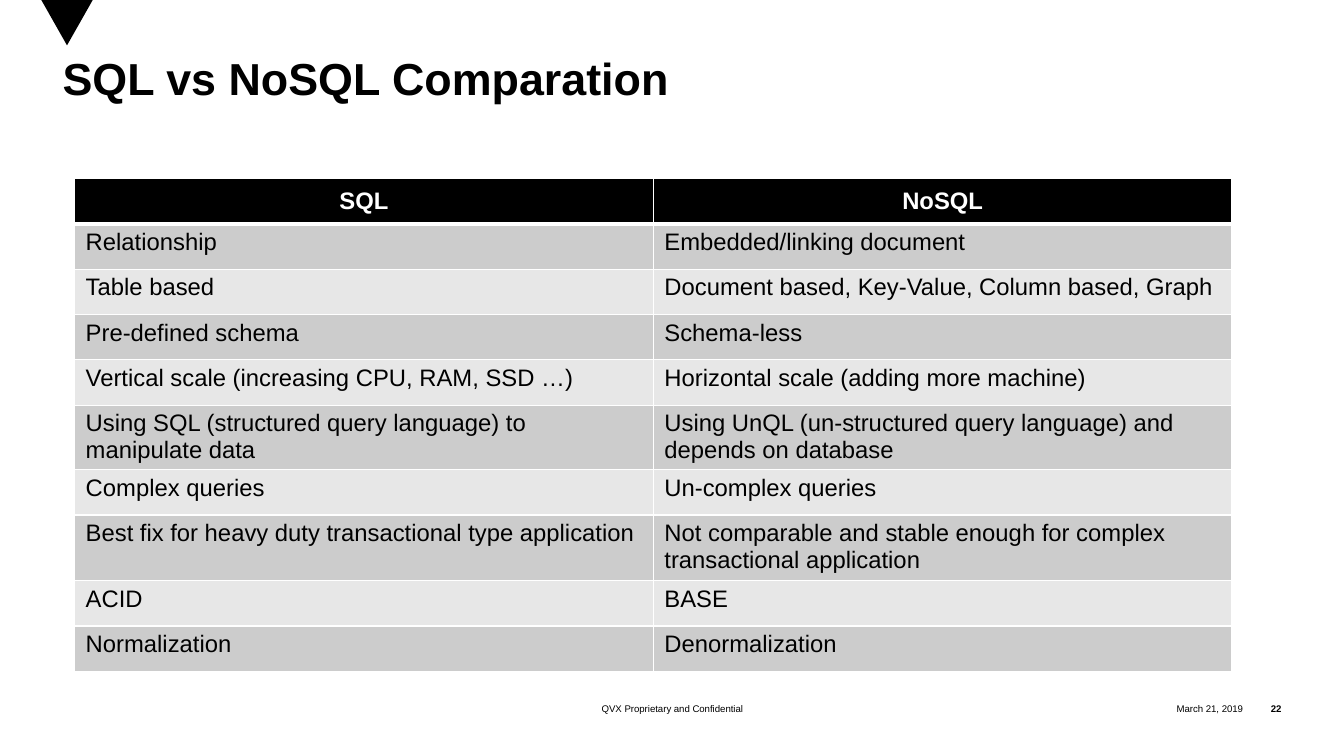
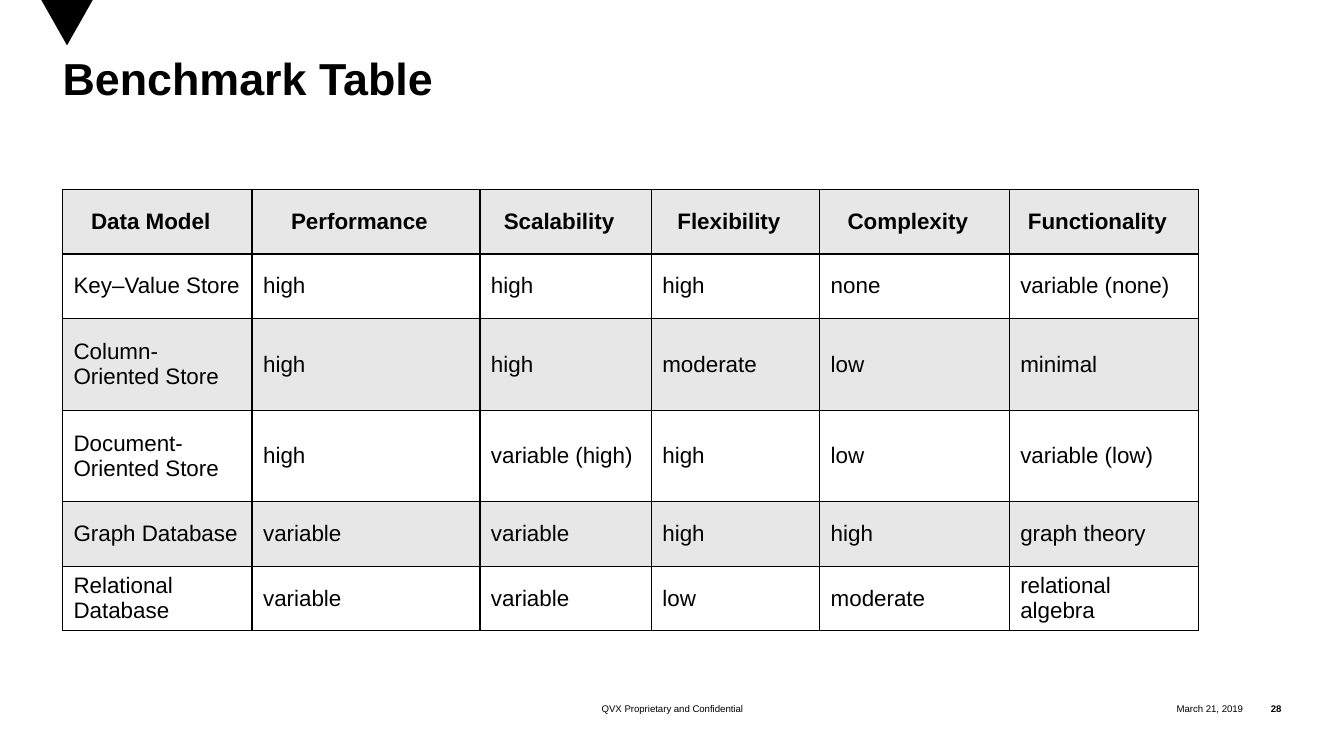
from dataclasses import dataclass

from lxml.etree import SubElement
from pptx import Presentation
from pptx.dml.color import RGBColor as Rgb
from pptx.enum.shapes import MSO_SHAPE as Shape
from pptx.enum.text import MSO_ANCHOR as Anchor, MSO_AUTO_SIZE as Fit, PP_ALIGN as Align
from pptx.oxml.ns import qn
from pptx.util import Inches, Pt

INK = {"black": "000000", "white": "FFFFFF", "dark": "CCCCCC", "light": "E7E7E7"}
FONT = "Arial"


@dataclass
class Note:
    text: str
    left: float
    width: float
    align: Align
    bold: bool = False


@dataclass
class Grid:
    left: float
    top: float
    cols: list[float]
    heights: list[float]
    rows: list[list[str]]
    size: float
    head: tuple[str, str]  # fill and text colour of the first row
    bands: tuple[str, str]
    edge: str
    rule: float  # points under the first row
    anchor: Anchor
    pad: float  # right margin in the first row


@dataclass
class Page:
    title: str
    number: int
    grid: Grid


VERSUS = Grid(
    left=0.74, top=1.77, cols=[5.74] * 2,
    heights=[0.45] * 5 + [0.64, 0.45, 0.65, 0.45, 0.45],
    rows=[
        ["SQL", "NoSQL"],
        ["Relationship", "Embedded/linking document"],
        ["Table based", "Document based, Key-Value, Column based, Graph"],
        ["Pre-defined schema", "Schema-less"],
        ["Vertical scale (increasing CPU, RAM, SSD …)",
         "Horizontal scale (adding more machine)"],
        ["Using SQL (structured query language) to manipulate data",
         "Using UnQL (un-structured query language) and depends on database"],
        ["Complex queries", "Un-complex queries"],
        ["Best fix for heavy duty transactional type application",
         "Not comparable and stable enough for complex transactional application"],
        ["ACID", "BASE"],
        ["Normalization", "Denormalization"],
    ],
    size=17, head=("black", "white"), bands=("dark", "light"),
    edge="white", rule=3, anchor=Anchor.TOP, pad=0.11,
)

BENCH = Grid(
    left=0.62, top=1.88, cols=[1.88, 2.26, 1.7, 1.67, 1.88, 1.88],
    heights=[0.64, 0.64, 0.91, 0.91, 0.64, 0.64],
    rows=[
        ["Data Model", "Performance", "Scalability", "Flexibility", "Complexity",
         "Functionality"],
        ["Key–Value Store", "high", "high", "high", "none", "variable (none)"],
        ["Column-Oriented Store", "high", "high", "moderate", "low", "minimal"],
        ["Document-Oriented Store", "high", "variable (high)", "high", "low",
         "variable (low)"],
        ["Graph Database", "variable", "variable", "high", "high", "graph theory"],
        ["Relational Database", "variable", "variable", "low", "moderate",
         "relational algebra"],
    ],
    size=16, head=("light", "black"), bands=("white", "light"),
    edge="black", rule=1, anchor=Anchor.MIDDLE, pad=0.24,
)

PAGES = [
    Page("SQL vs NoSQL Comparation", 22, VERSUS),
    Page("Benchmark Table", 28, BENCH),
]


def color(name: str) -> Rgb:
    return Rgb.from_string(INK[name])


def write(frame, text: str, size: float, ink: str = "black", bold: bool = False,
          align: Align = Align.LEFT):
    """Fill a text frame with one styled paragraph and return it."""
    para = frame.paragraphs[0]
    para.alignment = align
    run = para.add_run()
    run.text = text
    for key, value in {"name": FONT, "size": Pt(size), "bold": bold}.items():
        setattr(run.font, key, value)
    run.font.color.rgb = color(ink)
    return para


def frame_up(frame, anchor: Anchor) -> None:
    """Give a text frame no margins, wrapping and a fixed size."""
    look = {"margin_left": 0, "margin_top": 0, "margin_right": 0, "margin_bottom": 0,
            "word_wrap": True, "auto_size": Fit.NONE, "vertical_anchor": anchor}
    for key, value in look.items():
        setattr(frame, key, value)


def add_note(slide, note: Note) -> None:
    box = slide.shapes.add_textbox(
        Inches(note.left), Inches(6.91), Inches(note.width), Inches(0.25))
    frame_up(box.text_frame, Anchor.MIDDLE)
    write(box.text_frame, note.text, 6.9, bold=note.bold, align=note.align)


def add_base(slide, page: Page) -> None:
    """Draw what all slides share: marker, footer and title."""
    mark = slide.shapes.add_shape(
        Shape.FLOWCHART_MERGE, Inches(0.41), 0, Inches(0.51), Inches(0.45))
    mark.shadow.inherit = False
    mark.fill.solid()
    mark.fill.fore_color.rgb = color("black")
    mark.line.fill.background()

    for note in (
        Note("March 21, 2019", 10.84, 1.49, Align.RIGHT),
        Note(str(page.number), 12.33, 0.38, Align.RIGHT, True),
        Note("QVX Proprietary and Confidential", 4.38, 4.58, Align.CENTER),
    ):
        add_note(slide, note)

    title = slide.shapes.title
    spot = {"left": 0.62, "top": 0.58, "width": 12.08, "height": 1.29}
    for key, value in spot.items():
        setattr(title, key, Inches(value))
    frame_up(title.text_frame, Anchor.TOP)
    write(title.text_frame, page.title, 32, bold=True).line_spacing = 0.85


def add_edges(cell, ink: str, top: float, base: float) -> None:
    """Draw the four cell borders; top and base are widths in points."""
    props = cell._tc.get_or_add_tcPr()
    sides = {"lnL": 1, "lnR": 1, "lnT": top, "lnB": base}
    for spot, (tag, width) in enumerate(sides.items()):
        line = SubElement(props, qn(f"a:{tag}"), w=str(Pt(width)))
        fill = SubElement(line, qn("a:solidFill"))
        SubElement(fill, qn("a:srgbClr"), val=INK[ink])
        props.insert(spot, line)


def add_grid(slide, grid: Grid) -> None:
    table = slide.shapes.add_table(
        len(grid.rows), len(grid.cols), Inches(grid.left), Inches(grid.top),
        Inches(sum(grid.cols)), Inches(sum(grid.heights))).table
    table.horz_banding = False
    for col, width in zip(table.columns, grid.cols):
        col.width = Inches(width)
    for row, height in zip(table.rows, grid.heights):
        row.height = Inches(height)

    for r, texts in enumerate(grid.rows):
        first = r == 0
        fill, ink = grid.head if first else (grid.bands[(r - 1) % 2], "black")
        look = {"margin_left": Inches(0.11), "margin_top": Inches(0.05),
                "margin_right": Inches(grid.pad if first else 0.11),
                "margin_bottom": Inches(0.05),
                "vertical_anchor": Anchor.MIDDLE if first else grid.anchor}
        for c, text in enumerate(texts):
            cell = table.cell(r, c)
            for key, value in look.items():
                setattr(cell, key, value)
            cell.fill.solid()
            cell.fill.fore_color.rgb = color(fill)
            add_edges(cell, grid.edge, grid.rule if r == 1 else 1,
                      grid.rule if first else 1)
            write(cell.text_frame, text, grid.size, ink, first,
                  Align.CENTER if first else Align.LEFT)


def main() -> None:
    deck = Presentation()
    deck.slide_width, deck.slide_height = Inches(13.33), Inches(7.5)
    for page in PAGES:
        slide = deck.slides.add_slide(deck.slide_layouts[5])
        add_base(slide, page)
        add_grid(slide, page.grid)
    deck.save("out.pptx")


if __name__ == "__main__":
    main()
